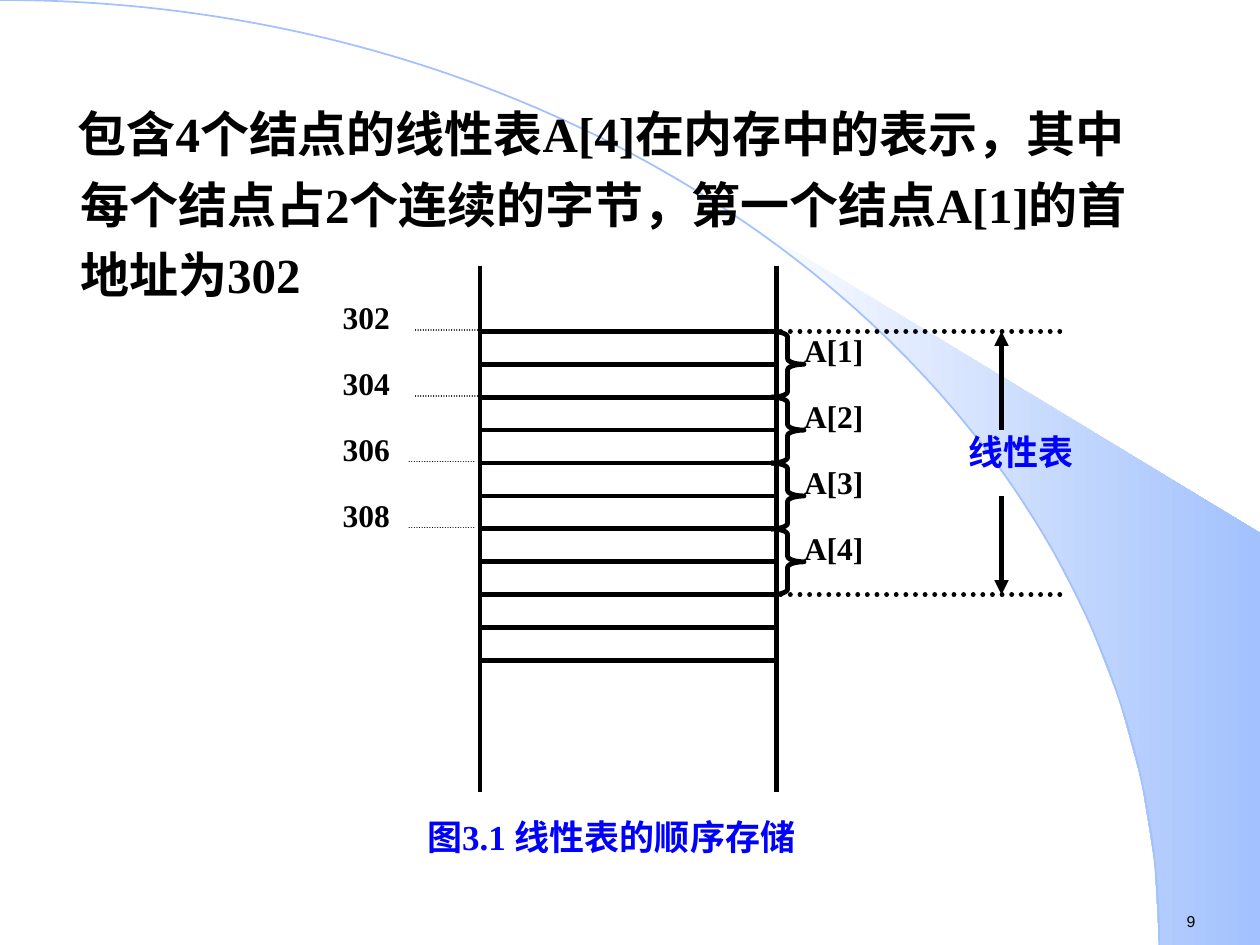
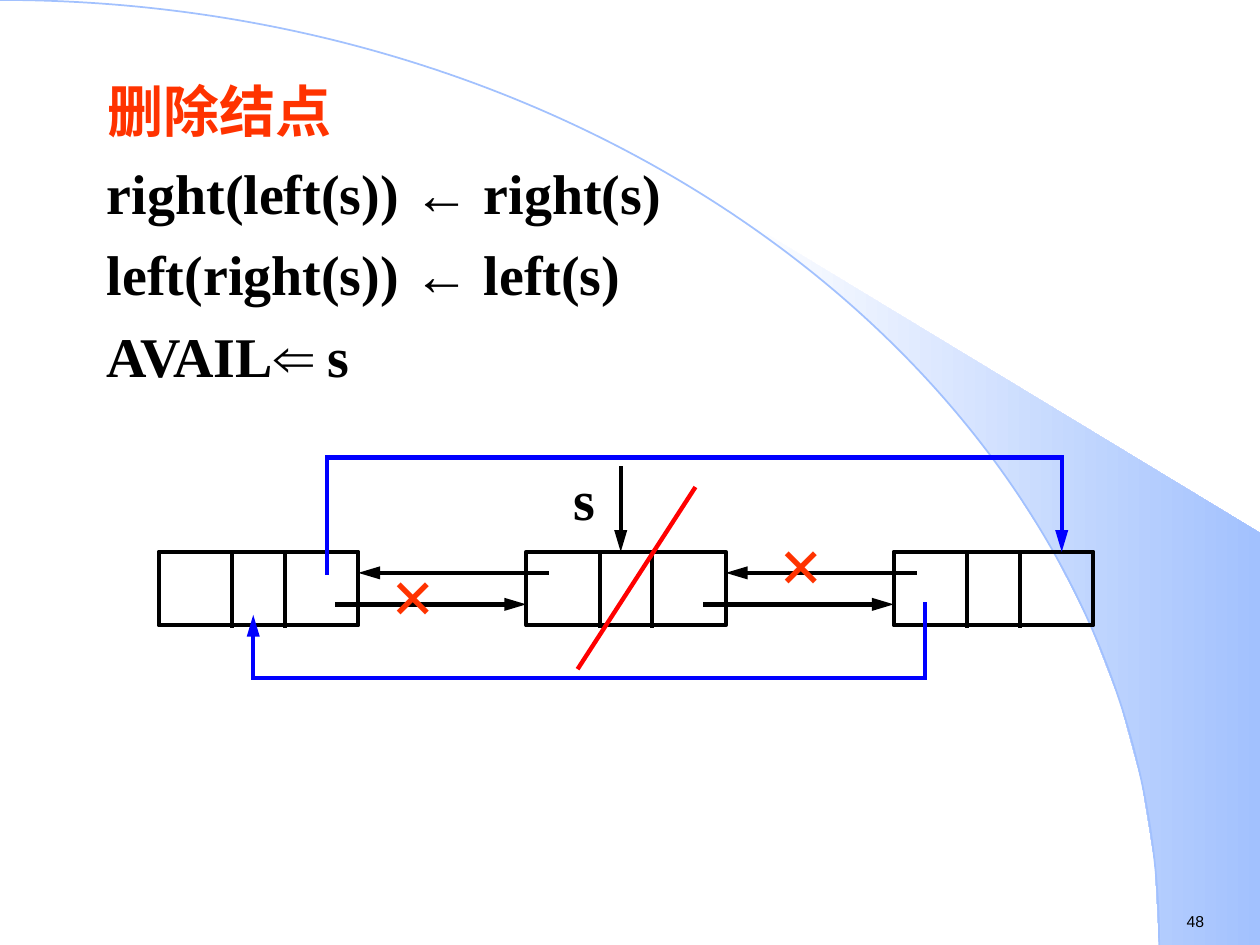
import math
from lxml import etree
from pptx import Presentation
from pptx import util as u
from pptx.dml.color import RGBColor
from pptx.enum import dml, shapes, text
from pptx.oxml.ns import qn

COLORS = {
    "black": "000000",
    "blue": "0000FF",
    "red": "FF0000",
    "orange": "FF3300",
    "white": "FFFFFF",
    "sky": "A2C1FE",
}
RGB = {name: RGBColor.from_string(value) for name, value in COLORS.items()}
SERIF, SANS = "Times New Roman", "Arial"
WIDTH, HEIGHT = 10, 7.5


def write(frame, lines, size, color, margins=(0, 0), before=0, bold=True):
    frame.word_wrap = True
    frame.auto_size = text.MSO_AUTO_SIZE.NONE
    frame.vertical_anchor = text.MSO_ANCHOR.TOP
    frame.margin_left = frame.margin_right = u.Inches(margins[0])
    frame.margin_top = frame.margin_bottom = u.Inches(margins[1])
    for index, spans in enumerate(lines):
        para = frame.add_paragraph() if index else frame.paragraphs[0]
        para.alignment = text.PP_ALIGN.LEFT
        para.space_before = u.Pt(before if index else 0)
        for words, font in spans:
            span = para.add_run()
            span.text = words
            span.font.name = font
            span.font.size = u.Pt(size)
            span.font.bold = bold
            span.font.color.rgb = RGB[color]


def draw_line(page, start, end, color, weight, head=None, dash=None, cap="flat"):
    ends = [u.Inches(value) for value in (*start, *end)]
    line = page.shapes.add_connector(shapes.MSO_CONNECTOR.STRAIGHT, *ends)
    line.line.color.rgb = RGB[color]
    line.line.width = u.Pt(weight)
    if dash:
        line.line.dash_style = dash
    outline = line._element.spPr.find(qn("a:ln"))
    outline.set("cap", cap)
    if head:
        etree.SubElement(outline, qn("a:tailEnd"), type="triangle", w="med", len=head)
    etree.SubElement(line._element.spPr, qn("a:effectLst"))


deck = Presentation()
deck.slide_width, deck.slide_height = u.Inches(WIDTH), u.Inches(HEIGHT)
TITLE_ONLY, BLANK = deck.slide_layouts[5], deck.slide_layouts[6]
MARGINS = (0.1, 0.05)

ARC_WIDTH = 0.92 * WIDTH
ROUNDNESS = 0.55
arc_end = (u.Inches(ARC_WIDTH), u.Inches(HEIGHT))
arc_controls = (
    (u.Inches(ARC_WIDTH * ROUNDNESS), 0),
    (arc_end[0], u.Inches(HEIGHT * (1 - ROUNDNESS))),
    arc_end,
)
wedge = [
    (
        u.Inches(ARC_WIDTH * math.sin(math.radians(angle))),
        u.Inches(HEIGHT * (1 - math.cos(math.radians(angle)))),
    )
    for angle in range(40, 91, 5)
] + [(u.Inches(WIDTH), u.Inches(HEIGHT)), (u.Inches(WIDTH), u.Inches(4.23))]

pages = []
for layout, number in ((BLANK, "9"), (TITLE_ONLY, "48")):
    page = deck.slides.add_slide(layout)
    pages.append(page)

    builder = page.shapes.build_freeform(*wedge[0], scale=1.0)
    builder.add_line_segments(wedge[1:], close=True)
    band = builder.convert_to_shape()
    band.shadow.inherit = False
    band.line.fill.background()
    band.fill.gradient()
    band.fill.gradient_angle = 0
    for stop, color in zip(band.fill.gradient_stops, ("white", "sky")):
        stop.color.rgb = RGB[color]

    builder = page.shapes.build_freeform(0, 0, scale=1.0)
    builder.add_line_segments([arc_end], close=False)
    arc = builder.convert_to_shape()
    arc.shadow.inherit = False
    arc.fill.background()
    arc.line.color.rgb = RGB["sky"]
    arc.line.width = u.Pt(1)
    segment = next(arc._element.iter(qn("a:lnTo")))
    curve = etree.SubElement(segment.getparent(), qn("a:cubicBezTo"))
    segment.getparent().remove(segment)
    for x, y in arc_controls:
        etree.SubElement(curve, qn("a:pt"), x=str(int(x)), y=str(int(y)))

    box = page.shapes.add_textbox(
        u.Inches(9.32), u.Inches(7.19), u.Inches(0.68), u.Inches(0.25)
    )
    write(box.text_frame, [[(number, SANS)]], 9, "black", MARGINS, bold=False)

storage, deletion = pages

intro = "包含4个结点的线性表A[4]在内存中的表示，其中每个结点占2个连续的字节，第一个结点A[1]的首地址为302"
box = storage.shapes.add_textbox(
    u.Inches(0.16), u.Inches(0.68), u.Inches(9.17), u.Inches(5.54)
)
write(box.text_frame, [[(intro, SERIF)]], 28, "black", MARGINS)
para = box.text_frame.paragraphs[0]
para.line_spacing = 1.2
indents = para._p.get_or_add_pPr()
indents.set("marL", str(u.Inches(0.38)))
indents.set("indent", str(u.Inches(-0.02)))

CELL = 2.09 / 8
MEMORY_LEFT, MEMORY_TOP = 3.81, 2.63
MEMORY_RIGHT = MEMORY_LEFT + 9 * CELL
BRACE_LEFT = 6.12
BRACE_RIGHT = BRACE_LEFT + CELL
WEIGHT = 2.75

for wall in (MEMORY_LEFT, MEMORY_RIGHT):
    draw_line(
        storage,
        (wall, MEMORY_TOP - 2 * CELL),
        (wall, MEMORY_TOP + 14 * CELL),
        "black",
        WEIGHT,
    )
for row in range(11):
    y = MEMORY_TOP + row * CELL
    draw_line(storage, (MEMORY_LEFT, y), (MEMORY_RIGHT, y), "black", WEIGHT)

labels = [
    ("图3.1 线性表的顺序存储", 3.39, 6.47, 3.93, 20, "blue"),
    ("线性表", 7.69, MEMORY_TOP + 3 * CELL, 1.83, 20, "blue"),
]
for node in range(4):
    top = MEMORY_TOP + 2 * node * CELL
    tick_right = MEMORY_LEFT if node < 2 else MEMORY_LEFT - 0.05
    draw_line(
        storage,
        (tick_right, top - 0.01),
        (tick_right - 2 * CELL, top - 0.01),
        "black",
        0.75,
        dash=dml.MSO_LINE.ROUND_DOT,
        cap="rnd",
    )
    brace = storage.shapes.add_shape(
        shapes.MSO_SHAPE.RIGHT_BRACE,
        u.Inches(BRACE_LEFT),
        u.Inches(top),
        u.Inches(CELL),
        u.Inches(2 * CELL),
    )
    brace.adjustments[0] = 0.17
    brace.shadow.inherit = False
    brace.fill.background()
    brace.line.color.rgb = RGB["black"]
    brace.line.width = u.Pt(WEIGHT)
    labels.append((str(302 + 2 * node), 2.72, top - CELL, 2 * CELL, 18, "black"))
    labels.append((f"A[{node + 1}]", BRACE_RIGHT, top, 3 * CELL, 18, "black"))

for words, left, top, width, size, color in labels:
    box = storage.shapes.add_textbox(
        u.Inches(left), u.Inches(top), u.Inches(width), u.Inches(2 * CELL)
    )
    write(box.text_frame, [[(words, SERIF)]], size, color)

span_x = BRACE_LEFT + 7 * CELL
for limit, inner in ((0, 3), (8, 5)):
    y = MEMORY_TOP + limit * CELL
    draw_line(
        storage,
        (BRACE_LEFT, y),
        (BRACE_LEFT + 9 * CELL, y),
        "black",
        WEIGHT,
        dash=dml.MSO_LINE.ROUND_DOT,
        cap="rnd",
    )
    draw_line(
        storage,
        (span_x, MEMORY_TOP + inner * CELL),
        (span_x, y),
        "black",
        WEIGHT,
        head="med",
    )

title = deletion.shapes.title
title.left, title.top = u.Inches(0.75), u.Inches(0.56)
title.width, title.height = u.Inches(7.79), u.Inches(0.65)
write(title.text_frame, [[("删除结点", SERIF)]], 32, "orange", MARGINS)

steps = [
    [("right(left(s)) ", SERIF), ("←", SANS), (" right(s)", SERIF)],
    [("left(right(s)) ", SERIF), ("←", SANS), (" left(s) ", SERIF)],
    [("AVAIL", SERIF), ("⇐", SANS), (" s", SERIF)],
]
box = deletion.shapes.add_textbox(
    u.Inches(0.75), u.Inches(1.21), u.Inches(7.79), u.Inches(2.11)
)
write(box.text_frame, steps, 32, "black", MARGINS, before=8)

UNIT = 1 / 12
LIST_LEFT, LIST_TOP = 1.26, 4.38
NODE_WIDTH, NODE_HEIGHT, NODE_PITCH = 19, 7, 35

strokes = [
    (73, 5, 73, 12, "blue", None),
    (9, 12, 73, 12, "blue", None),
    (9, 12, 9, 6, "blue", "lg"),
    (16, 2, 16, -9, "blue", None),
    (86, -9, 16, -9, "blue", None),
    (86, -9, 86, 0, "blue", "lg"),
]
for node in range(3):
    column = node * NODE_PITCH
    frame = deletion.shapes.add_shape(
        shapes.MSO_SHAPE.RECTANGLE,
        u.Inches(LIST_LEFT + column * UNIT),
        u.Inches(LIST_TOP),
        u.Inches(NODE_WIDTH * UNIT),
        u.Inches(NODE_HEIGHT * UNIT),
    )
    frame.shadow.inherit = False
    frame.fill.background()
    frame.line.color.rgb = RGB["black"]
    frame.line.width = u.Pt(2.5)
    for divider in (column + 7, column + 12):
        strokes.append((divider, 0, divider, NODE_HEIGHT, "black", None))
for column in (0, NODE_PITCH):
    strokes.append((column + 37, 2, column + NODE_WIDTH, 2, "black", "lg"))
    strokes.append((column + 17, 5, column + NODE_PITCH, 5, "black", "lg"))
strokes.append((44, -8, 44, 0, "black", "lg"))
strokes.append((51, -6, 40, 11, "red", None))

for x1, y1, x2, y2, color, head in strokes:
    draw_line(
        deletion,
        (LIST_LEFT + x1 * UNIT, LIST_TOP + y1 * UNIT),
        (LIST_LEFT + x2 * UNIT, LIST_TOP + y2 * UNIT),
        color,
        2.5,
        head,
        cap="sq",
    )

marks = [
    ("s", 4.45, 3.64, 32, "black"),
    ("×", 6.09, 4.05, 44, "orange"),
    ("×", 3.01, 4.3, 44, "orange"),
]
for words, left, top, size, color in marks:
    box = deletion.shapes.add_textbox(
        u.Inches(left), u.Inches(top), u.Inches(0.92), u.Inches(0.84)
    )
    write(box.text_frame, [[(words, SERIF)]], size, color, MARGINS)

deck.save("out.pptx")
